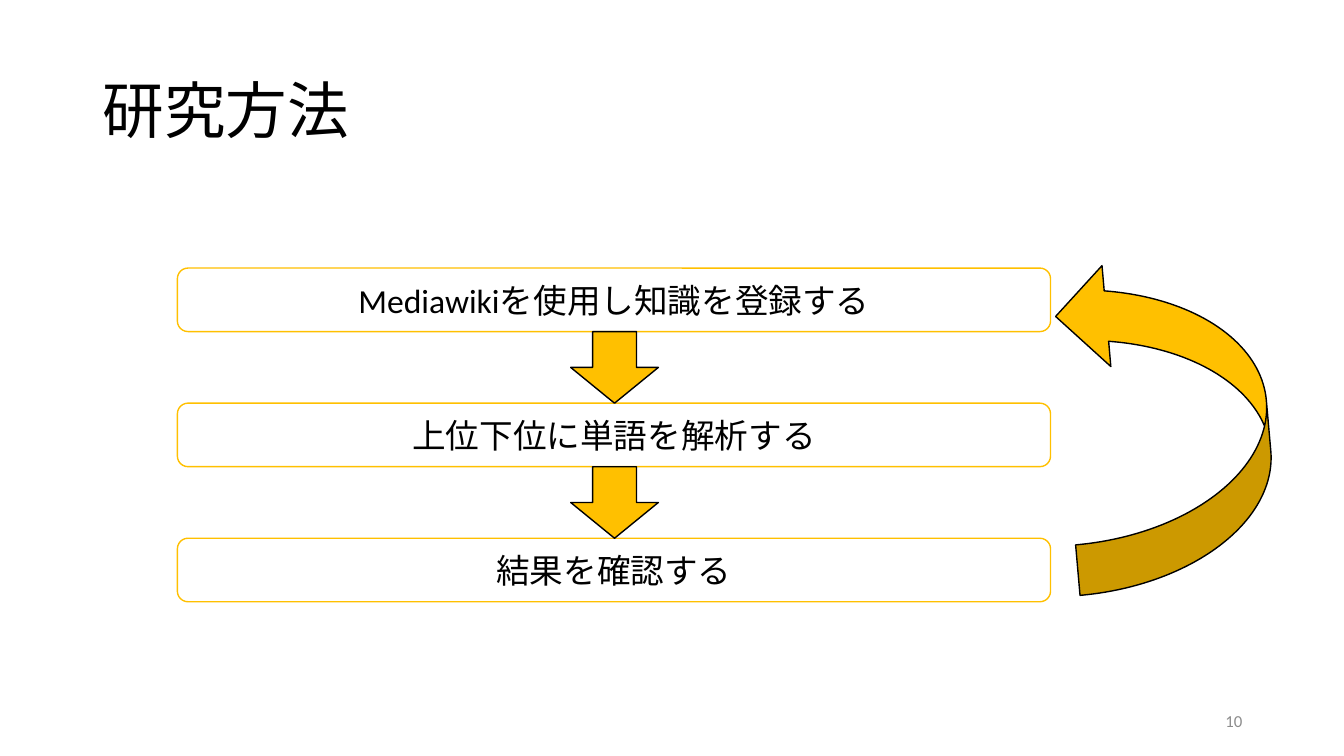
from dataclasses import dataclass

from pptx import Presentation
from pptx.dml.color import RGBColor
from pptx.enum.lang import MSO_LANGUAGE_ID
from pptx.enum.shapes import MSO_SHAPE
from pptx.enum.text import MSO_ANCHOR, PP_ALIGN
from pptx.shapes.autoshape import Shape
from pptx.slide import Slide
from pptx.util import Emu, Pt

ROUNDED = MSO_SHAPE.ROUNDED_RECTANGLE
RIGHT_ARROW = MSO_SHAPE.RIGHT_ARROW
CURVED_ARROW = MSO_SHAPE.CURVED_UP_ARROW
MIDDLE = MSO_ANCHOR.MIDDLE
LEFT, CENTER, RIGHT = PP_ALIGN.LEFT, PP_ALIGN.CENTER, PP_ALIGN.RIGHT
JAPANESE = MSO_LANGUAGE_ID.JAPANESE

EMU_PER_PX = 9144  # 100 px to the inch
FONT = "Calibri"
BLACK, WHITE, GOLD, GRAY = "000000", "FFFFFF", "FFC000", "8C8C8C"

STEPS = ("Mediawikiを使用し知識を登録する", "上位下位に単語を解析する", "結果を確認する")
STEP_LEFT, STEP_TOP, STEP_WIDTH, STEP_HEIGHT = 176, 266, 866, 63
STEP_PITCH = 134
ARROW_LENGTH, ARROW_BREADTH = 71, 87


@dataclass(frozen=True)
class Box:
    left: int
    top: int
    width: int
    height: int

    def emu(self) -> tuple[Emu, Emu, Emu, Emu]:
        return px(self.left), px(self.top), px(self.width), px(self.height)


@dataclass(frozen=True)
class Label:
    text: str
    size: int
    color: str = BLACK
    align: PP_ALIGN = LEFT
    line_spacing: float = 1.0


def px(length: int) -> Emu:
    return Emu(length * EMU_PER_PX)


def rgb(color: str) -> RGBColor:
    return RGBColor.from_string(color)


def write(shape: Shape, label: Label) -> None:
    frame = shape.text_frame
    frame.word_wrap = True
    frame.vertical_anchor = MIDDLE
    paragraph = frame.paragraphs[0]
    paragraph.alignment = label.align
    paragraph.line_spacing = label.line_spacing
    run = paragraph.add_run()
    run.text = label.text
    run.font.name = FONT
    run.font.size = Pt(label.size)
    run.font.color.rgb = rgb(label.color)
    run.font.language_id = JAPANESE


def add_text(slide: Slide, box: Box, label: Label) -> None:
    write(slide.shapes.add_textbox(*box.emu()), label)


def add_figure(slide: Slide, kind: MSO_SHAPE, box: Box, fill: str, line: str,
               rotation: int = 0) -> Shape:
    shape = slide.shapes.add_shape(kind, *box.emu())
    shape.shadow.inherit = False
    shape.fill.solid()
    shape.fill.fore_color.rgb = rgb(fill)
    shape.line.color.rgb = rgb(line)
    shape.line.width = Pt(1)
    shape.rotation = rotation
    return shape


def add_step(slide: Slide, index: int, text: str) -> None:
    box = Box(STEP_LEFT, STEP_TOP + index * STEP_PITCH, STEP_WIDTH, STEP_HEIGHT)
    write(add_figure(slide, ROUNDED, box, WHITE, GOLD), Label(text, 24, align=CENTER))


def add_down_arrow(slide: Slide, index: int) -> None:
    """Centre a turned arrow in the gap below the given step."""
    center_x = STEP_LEFT + STEP_WIDTH // 2
    center_y = STEP_TOP + index * STEP_PITCH + (STEP_HEIGHT + STEP_PITCH) // 2
    box = Box(center_x - ARROW_LENGTH // 2, center_y - ARROW_BREADTH // 2,
              ARROW_LENGTH, ARROW_BREADTH)
    add_figure(slide, RIGHT_ARROW, box, GOLD, BLACK, 90)


def main() -> None:
    presentation = Presentation()
    presentation.slide_width = px(1333)
    presentation.slide_height = px(750)
    slide = presentation.slides.add_slide(presentation.slide_layouts[6])

    # Title
    add_text(slide, Box(92, 40, 1150, 145), Label("研究方法", 44, line_spacing=0.9))

    # Steps and the arrows between them
    for index, text in enumerate(STEPS):
        add_step(slide, index, text)
    for index in range(len(STEPS) - 1):
        add_down_arrow(slide, index)

    # Return arrow from the last step to the first
    add_figure(slide, CURVED_ARROW, Box(993, 318, 328, 201), GOLD, BLACK, 265)

    # Page number
    add_text(slide, Box(942, 695, 300, 40), Label("10", 12, GRAY, RIGHT))

    presentation.save("out.pptx")


if __name__ == "__main__":
    main()
